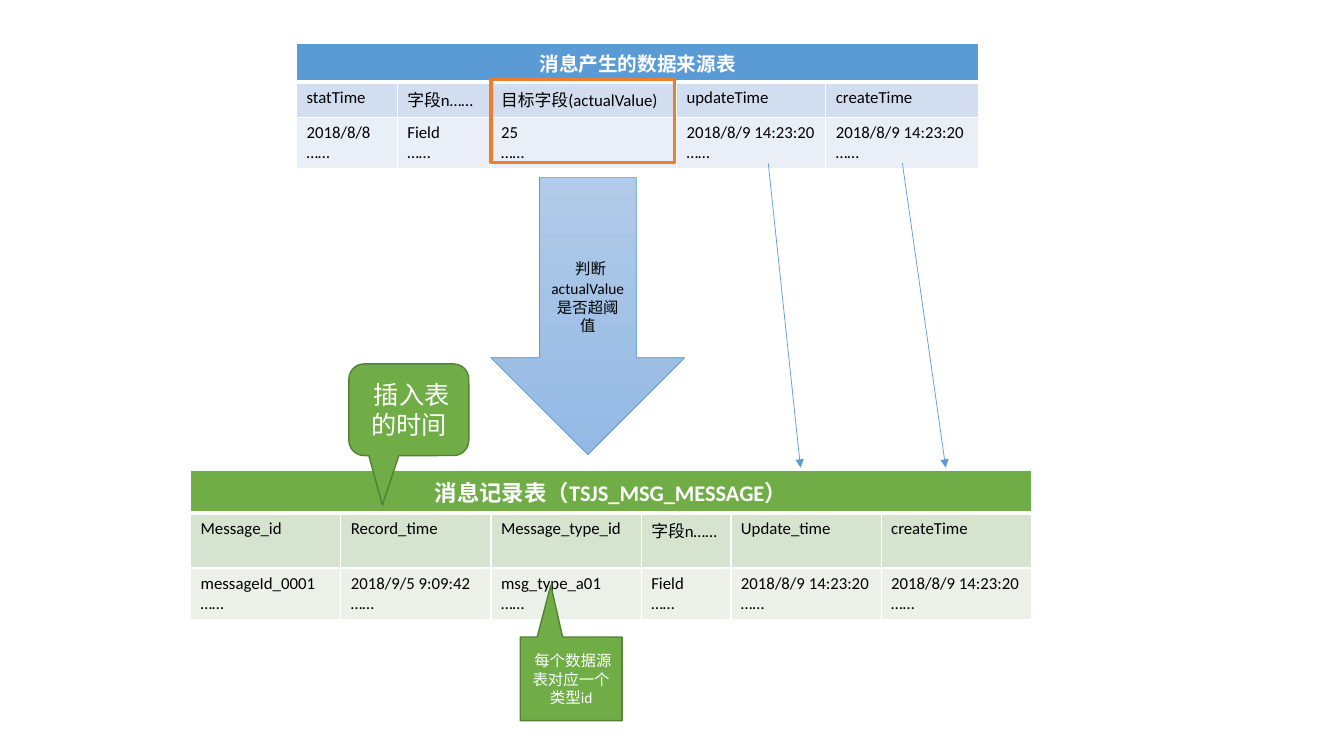
from pptx import Presentation
from pptx.dml.color import RGBColor
from pptx.enum.shapes import MSO_CONNECTOR, MSO_SHAPE
from pptx.enum.text import MSO_ANCHOR, PP_ALIGN
from pptx.oxml.ns import qn
from pptx.util import Emu, Pt
from lxml.etree import SubElement

EMU_PER_PX = 9144  # 100 px to the inch
FONT = "Calibri"

WHITE = RGBColor(0xFF, 0xFF, 0xFF)
BLACK = RGBColor(0x00, 0x00, 0x00)
BLUE = RGBColor(0x5B, 0x9B, 0xD5)
BLUE_BANDS = (RGBColor(0xD2, 0xDE, 0xEF), RGBColor(0xEA, 0xEF, 0xF7))
ARROW_TOP = RGBColor(0xB1, 0xCB, 0xE9)
ARROW_BOTTOM = RGBColor(0x93, 0xB9, 0xE4)
GREEN = RGBColor(0x70, 0xAD, 0x47)
GREEN_BANDS = (RGBColor(0xD5, 0xE3, 0xCF), RGBColor(0xEB, 0xF1, 0xE9))
DARK_GREEN = RGBColor(0x53, 0x80, 0x35)
ORANGE = RGBColor(0xED, 0x7D, 0x31)

SOURCE_FIELDS = ["statTime", "字段n……", "目标字段(actualValue)", "updateTime", "createTime"]
SOURCE_VALUES = ["2018/8/8", "Field", "25", "2018/8/9 14:23:20", "2018/8/9 14:23:20"]
RECORD_FIELDS = ["Message_id", "Record_time", "Message_type_id", "字段n……",
                 "Update_time", "createTime"]
RECORD_VALUES = ["messageId_0001", "2018/9/5 9:09:42", "msg_type_a01", "Field",
                 "2018/8/9 14:23:20", "2018/8/9 14:23:20"]


def px(*lengths):
    return [Emu(length * EMU_PER_PX) for length in lengths]


def format_run(run, size, color, bold=False):
    run.font.name = FONT
    run.font.size = Pt(size)
    run.font.bold = bold
    run.font.color.rgb = color


def set_borders(cell, bottom_width):
    properties = cell._tc.get_or_add_tcPr()
    for side, width in (("L", 1), ("R", 1), ("T", 1), ("B", bottom_width)):
        line = SubElement(properties, qn(f"a:ln{side}"), w=str(Pt(width)))
        fill = SubElement(line, qn("a:solidFill"))
        SubElement(fill, qn("a:srgbClr"), val=str(WHITE))


def format_cell(cell, text, fill, size, color, header=False):
    set_borders(cell, 3 if header else 1)
    cell.fill.solid()
    cell.fill.fore_color.rgb = fill
    cell.text_frame.text = text
    for paragraph in cell.text_frame.paragraphs:
        if header:
            paragraph.alignment = PP_ALIGN.CENTER
        for run in paragraph.runs:
            format_run(run, size, color, header)


def add_data_table(slide, left, top, widths, heights, title, title_size,
                   fields, values, header_fill, bands):
    """Add a table with a merged title row, a row of fields and a row of values."""
    frame = slide.shapes.add_table(
        len(heights), len(widths), *px(left, top, sum(widths), sum(heights)))
    table = frame.table
    for column, width in zip(table.columns, px(*widths)):
        column.width = width
    for row, height in zip(table.rows, px(*heights)):
        row.height = height
    table.cell(0, 0).merge(table.cell(0, len(widths) - 1))
    for column, (field, value) in enumerate(zip(fields, values)):
        format_cell(table.cell(0, column), "" if column else title,
                    header_fill, title_size, WHITE, header=True)
        format_cell(table.cell(1, column), field, bands[0], 12, BLACK)
        format_cell(table.cell(2, column), f"{value}\n……", bands[1], 12, BLACK)


def add_outlined_shape(slide, kind, box, line_color, line_width):
    shape = slide.shapes.add_shape(kind, *px(*box))
    shape.shadow.inherit = False
    shape.line.color.rgb = line_color
    shape.line.width = Pt(line_width)
    return shape


def write_centered(shape, color, *pieces):
    """Write (text, size) pieces as the runs of one centred paragraph."""
    text_frame = shape.text_frame
    text_frame.word_wrap = True
    text_frame.vertical_anchor = MSO_ANCHOR.MIDDLE
    paragraph = text_frame.paragraphs[0]
    paragraph.alignment = PP_ALIGN.CENTER
    for text, size in pieces:
        run = paragraph.add_run()
        run.text = text
        format_run(run, size, color)


def add_highlight(slide, box):
    add_outlined_shape(slide, MSO_SHAPE.RECTANGLE, box, ORANGE, 2.25).fill.background()


def add_decision_arrow(slide, box):
    arrow = add_outlined_shape(slide, MSO_SHAPE.DOWN_ARROW, box, BLUE, 0.5)
    arrow.fill.gradient()
    arrow.fill.gradient_angle = 270
    for stop, color in zip(arrow.fill.gradient_stops, (ARROW_TOP, ARROW_BOTTOM)):
        stop.color.rgb = color
    write_centered(arrow, BLACK, (" ", 18), ("判断actualValue是否超阈值", 11))


def add_callout(slide, kind, box, pointer, text, size):
    callout = add_outlined_shape(slide, kind, box, DARK_GREEN, 1)
    callout.fill.solid()
    callout.fill.fore_color.rgb = GREEN
    for index, value in enumerate(pointer):
        callout.adjustments[index] = value
    write_centered(callout, WHITE, (text, size))


def add_thin_arrow(slide, start, end):
    connector = slide.shapes.add_connector(MSO_CONNECTOR.STRAIGHT, *px(*start, *end))
    connector.line.color.rgb = BLUE
    connector.line.width = Pt(0.5)
    SubElement(connector.line._get_or_add_ln(), qn("a:tailEnd"), type="triangle")
    SubElement(connector._element.spPr, qn("a:effectLst"))


def main():
    presentation = Presentation()
    presentation.slide_width, presentation.slide_height = px(1333, 750)
    slide = presentation.slides.add_slide(presentation.slide_layouts[6])

    add_data_table(slide, 294, 43, [100, 93, 184, 148, 152], [35, 35, 46],
                   "消息产生的数据来源表", 14, SOURCE_FIELDS, SOURCE_VALUES,
                   BLUE, BLUE_BANDS)
    add_data_table(slide, 189, 467, [149, 149, 149, 89, 149, 149], [41] * 3,
                   "消息记录表（TSJS_MSG_MESSAGE）", 16, RECORD_FIELDS, RECORD_VALUES,
                   GREEN, GREEN_BANDS)

    add_highlight(slide, (487, 79, 182, 82))
    add_decision_arrow(slide, (487, 176, 192, 275))
    add_thin_arrow(slide, (762, 162), (794, 464))
    add_thin_arrow(slide, (895, 162), (938, 464))
    add_callout(slide, MSO_SHAPE.ROUNDED_RECTANGULAR_CALLOUT, (346, 361, 119, 91),
                (-0.22, 1.04), " 插入表的时间", 18)
    add_callout(slide, MSO_SHAPE.RECTANGULAR_CALLOUT, (516, 632, 101, 83),
                (-0.2, -1.12), " 每个数据源表对应一个类型id", 11)

    presentation.save("out.pptx")


if __name__ == "__main__":
    main()
